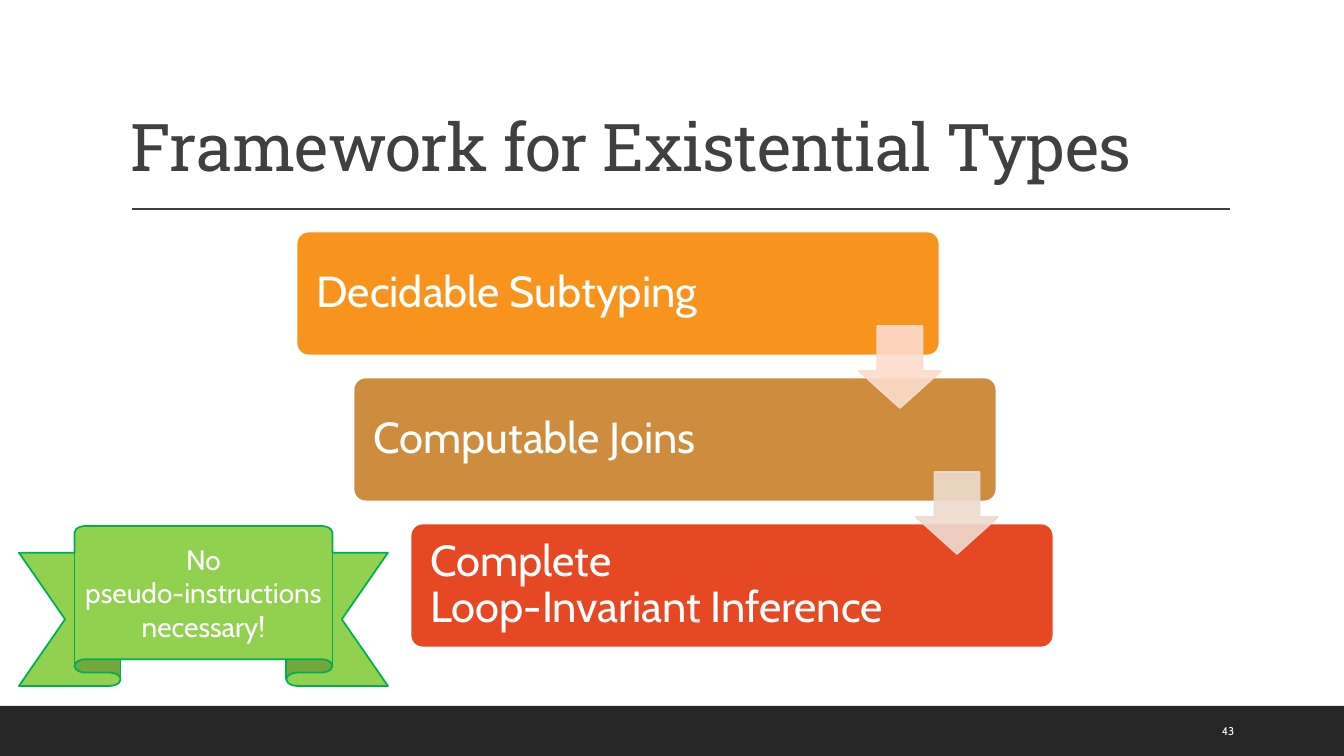
"""Build the slide on the framework for existential types."""
from lxml import etree
from pptx import Presentation
from pptx.dml.color import RGBColor
from pptx.enum.shapes import MSO_CONNECTOR, MSO_SHAPE
from pptx.enum.text import MSO_ANCHOR, MSO_AUTO_SIZE, PP_ALIGN
from pptx.oxml.ns import qn
from pptx.util import Emu, Pt

RECT, ROUND = MSO_SHAPE.RECTANGLE, MSO_SHAPE.ROUNDED_RECTANGLE
ARROW, RIBBON = MSO_SHAPE.DOWN_ARROW, MSO_SHAPE.UP_RIBBON
LINE = MSO_CONNECTOR.STRAIGHT
MIDDLE, BOTTOM = MSO_ANCHOR.MIDDLE, MSO_ANCHOR.BOTTOM
LEFT, CENTER = PP_ALIGN.LEFT, PP_ALIGN.CENTER
NO_FIT = MSO_AUTO_SIZE.NONE

WHITE = RGBColor(0xFF, 0xFF, 0xFF)
GRAY = RGBColor(0x40, 0x40, 0x40)
DARK = RGBColor(0x26, 0x26, 0x26)
ORANGE = RGBColor(0xF8, 0x93, 0x1D)
TAN = RGBColor(0xCE, 0x8D, 0x3E)
RED = RGBColor(0xE6, 0x48, 0x23)
PEACH = RGBColor(0xFC, 0xDC, 0xCD)
SAND = RGBColor(0xED, 0xDB, 0xCE)
LIME = RGBColor(0x92, 0xD0, 0x50)
GREEN = RGBColor(0x00, 0xB0, 0x50)

HEAD, BODY = "Roboto Slab", "Cabin"
TITLE = "Framework for Existential Types"
STEPS = [
    ("Decidable Subtyping", ORANGE),
    ("Computable Joins", TAN),
    ("Complete\vLoop-Invariant Inference", RED),
]
ARROWS = [PEACH, SAND]
NOTE = "No\vpseudo-instructions necessary!"
NUMBER = "43"

WIDE, HIGH = 1344, 756
STEP_BOX = (296, 231, 644, 125)
ARROW_BOX = (859, 326, 82, 82)
SHIFT, DROP = 57, 146


def px(num):
    return Emu(round(num * 914400 / 100.8))


def place(box, index=0):
    left, top, wide, high = box
    return [px(n) for n in (left + index * SHIFT, top + index * DROP, wide, high)]


def add_form(slide, kind, box, fill, edge=None, width=0, adjust=()):
    form = slide.shapes.add_shape(kind, *box)
    form.shadow.inherit = False
    form.fill.solid()
    form.fill.fore_color.rgb = fill
    if edge is None:
        form.line.fill.background()
    else:
        form.line.color.rgb = edge
        form.line.width = Pt(width)
    for slot, value in enumerate(adjust):
        form.adjustments[slot] = value
    return form


def write(shape, text, size, color=WHITE, font=BODY, align=LEFT,
          anchor=MIDDLE, inset=10, space=None):
    frame = shape.text_frame
    frame.text = text
    frame.word_wrap = True
    frame.auto_size = NO_FIT
    frame.vertical_anchor = anchor
    frame.margin_left = frame.margin_right = px(inset)
    frame.margin_top = frame.margin_bottom = px(5)
    para = frame.paragraphs[0]
    para.alignment = align
    para.line_spacing = space
    para.font.name = font
    para.font.size = Pt(size)
    para.font.color.rgb = color
    return para


def fade(shape, percent):
    for color in shape._element.spPr.iter(qn("a:srgbClr")):
        etree.SubElement(color, qn("a:alpha")).set("val", str(percent * 1000))


def add_title(slide):
    title = slide.shapes.title
    title.left, title.top, title.width, title.height = place((121, 31, 1109, 160))
    para = write(title, TITLE, 47, GRAY, HEAD, anchor=BOTTOM, space=0.9)
    para.runs[0]._r.get_or_add_rPr().set("spc", "-50")
    rule = slide.shapes.add_connector(LINE, px(132), px(209), px(1230), px(209))
    rule.line.color.rgb = GRAY
    rule.line.width = Pt(1)
    etree.SubElement(rule._element.spPr, qn("a:effectLst"))


def add_steps(slide):
    for index, (text, color) in enumerate(STEPS):
        card = add_form(slide, ROUND, place(STEP_BOX, index), color, WHITE, 2, [0.1])
        write(card, text, 31, inset=17, space=0.9)
    for index, color in enumerate(ARROWS):
        arrow = add_form(slide, ARROW, place(ARROW_BOX, index), color, color, 1.25,
                         [0.55, 0.45])
        fade(arrow, 90)


def main():
    deck = Presentation()
    deck.slide_width, deck.slide_height = px(WIDE), px(HIGH)
    slide = deck.slides.add_slide(deck.slide_layouts[5])
    add_title(slide)
    add_form(slide, RECT, place((0, 706, WIDE, 50)), DARK)
    add_steps(slide)
    number = slide.shapes.add_textbox(*place((1212, 711, 86, 40)))
    write(number, NUMBER, 8)
    ribbon = add_form(slide, RIBBON, place((19, 526, 369, 160)), LIME, GREEN, 1.25,
                      [0.167, 0.699])
    write(ribbon, NOTE, 20, align=CENTER, inset=4)
    deck.save("out.pptx")


if __name__ == "__main__":
    main()
